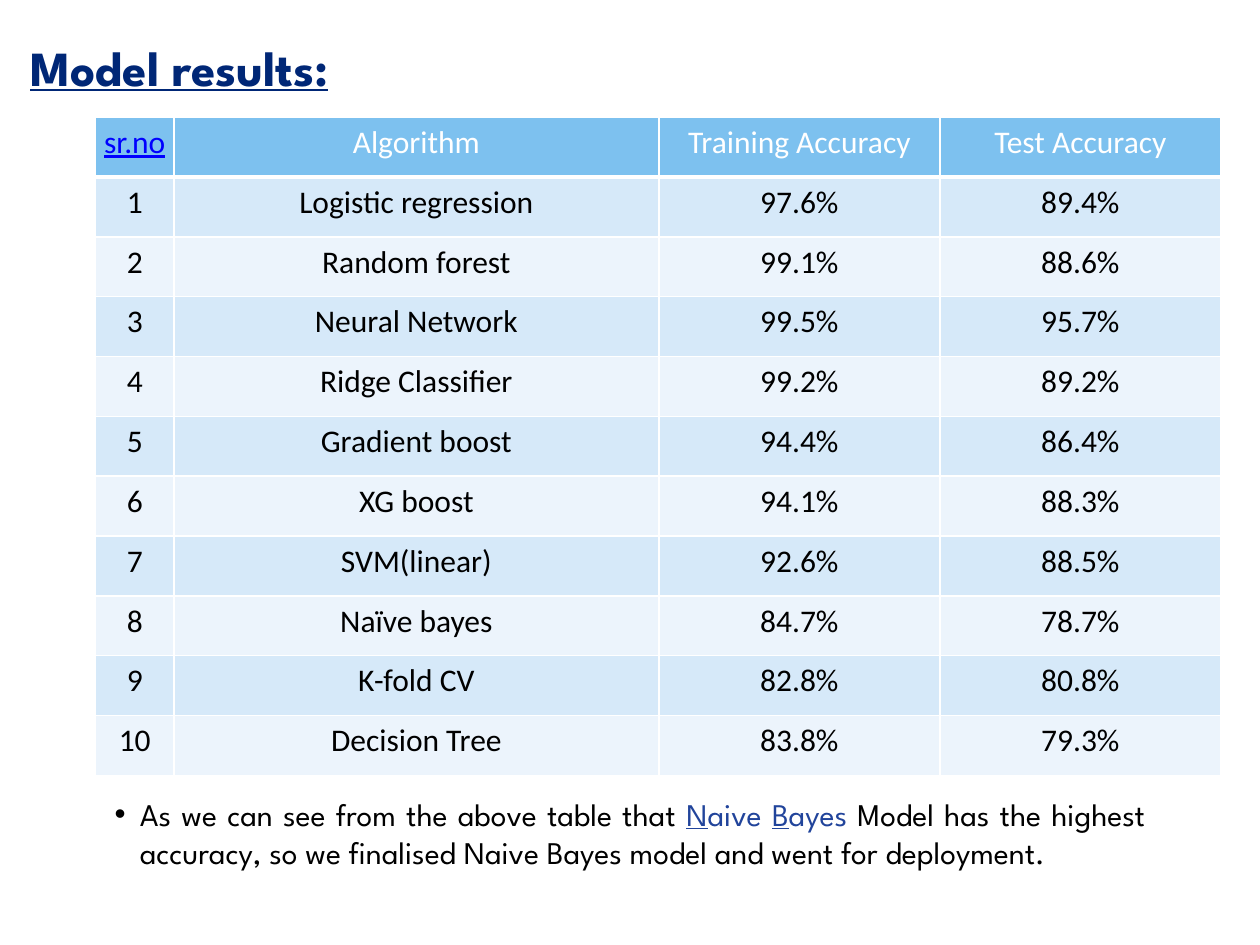
"""Build the model results slide with its accuracy table and conclusion."""
from pptx import Presentation
from pptx.dml.color import RGBColor
from pptx.enum.text import MSO_ANCHOR, PP_ALIGN
from pptx.oxml import parse_xml
from pptx.oxml.ns import nsdecls
from pptx.util import Inches, Pt

CENTER, JUSTIFY, TOP = PP_ALIGN.CENTER, PP_ALIGN.JUSTIFY, MSO_ANCHOR.TOP
COLORS = {"title": "002776", "link": "0000FF", "accent": "21449B", "black": "000000",
          "white": "FFFFFF", "head": "7DC1EF", "odd": "D6E9F9", "even": "ECF4FC"}
MARGINS = dict.fromkeys(("margin_left", "margin_top", "margin_right", "margin_bottom"),
                        Inches(0.05))
ROW_H = 0.475
COL_W = [0.62, 3.85, 2.23, 2.23]
ROWS = [
    ("sr.no", "Algorithm", "Training Accuracy", "Test Accuracy"),
    ("1", "Logistic regression", "97.6%", "89.4%"),
    ("2", "Random forest", "99.1%", "88.6%"),
    ("3", "Neural Network", "99.5%", "95.7%"),
    ("4", "Ridge Classifier", "99.2%", "89.2%"),
    ("5", "Gradient boost", "94.4%", "86.4%"),
    ("6", "XG boost", "94.1%", "88.3%"),
    ("7", "SVM(linear)", "92.6%", "88.5%"),
    ("8", "Naïve bayes", "84.7%", "78.7%"),
    ("9", "K-fold CV", "82.8%", "80.8%"),
    ("10", "Decision Tree", "83.8%", "79.3%"),
]
NOTE = [
    ("As we can see from the above table that ", "black", False),
    ("N", "accent", True),
    ("aive ", "accent", False),
    ("B", "accent", True),
    ("ayes", "accent", False),
    (" Model has the highest accuracy, so we finalised Naive Bayes model "
     "and went for deployment.", "black", False),
]


def add_run(p, text, color, name="League Spartan", size=18, bold=False, underline=False):
    r = p.add_run()
    r.text = text
    fmt = {"name": name, "size": Pt(size), "bold": bold, "underline": underline}
    for key, value in fmt.items():
        setattr(r.font, key, value)
    r.font.color.rgb = RGBColor.from_string(COLORS[color])


def add_text(slide, left, top, width, height):
    tf = slide.shapes.add_textbox(*map(Inches, (left, top, width, height))).text_frame
    for key, value in {**MARGINS, "word_wrap": True, "vertical_anchor": TOP}.items():
        setattr(tf, key, value)
    return tf.paragraphs[0]


prs = Presentation()
prs.slide_width, prs.slide_height = Inches(10), Inches(7.5)
s = prs.slides.add_slide(prs.slide_layouts[6])

p = add_text(s, 0.19, 0.25, 3.48, 0.57)
add_run(p, "Model results:", "title", size=28, bold=True, underline=True)

table = s.shapes.add_table(len(ROWS), len(COL_W), Inches(0.76), Inches(0.93),
                           Inches(sum(COL_W)), Inches(ROW_H * len(ROWS))).table
for column, width in zip(table.columns, COL_W):
    column.width = Inches(width)
for i, row in enumerate(ROWS):
    table.rows[i].height = Inches(ROW_H)
    fill = "head" if i == 0 else "odd" if i % 2 else "even"
    for j, text in enumerate(row):
        cell = table.cell(i, j)
        for key, value in {**MARGINS, "vertical_anchor": TOP}.items():
            setattr(cell, key, value)
        for side in "LRTB":
            thick = (i, side) in ((0, "B"), (1, "T"))
            cell._tc.get_or_add_tcPr().append(parse_xml(
                f'<a:ln{side} {nsdecls("a")} w="{Pt(3 if thick else 1)}"><a:solidFill>'
                f'<a:srgbClr val="{COLORS["white"]}"/></a:solidFill></a:ln{side}>'))
        cell.fill.solid()
        cell.fill.fore_color.rgb = RGBColor.from_string(COLORS[fill])
        p = cell.text_frame.paragraphs[0]
        p.alignment = CENTER
        link = i == j == 0
        color = "link" if link else "black" if i else "white"
        add_run(p, text, color, name="Calibri", underline=link)

p = add_text(s, 0.86, 6.26, 8.28, 1.02)
p.alignment = JUSTIFY
pPr = p._p.get_or_add_pPr()
pPr.set("marL", str(Inches(0.2)))
pPr.set("indent", str(Inches(-0.2)))
pPr.append(parse_xml(f'<a:buFont {nsdecls("a")} typeface="Arial"/>'))
pPr.append(parse_xml(f'<a:buChar {nsdecls("a")} char="•"/>'))
for text, color, underline in NOTE:
    add_run(p, text, color, underline=underline)

prs.save("out.pptx")
